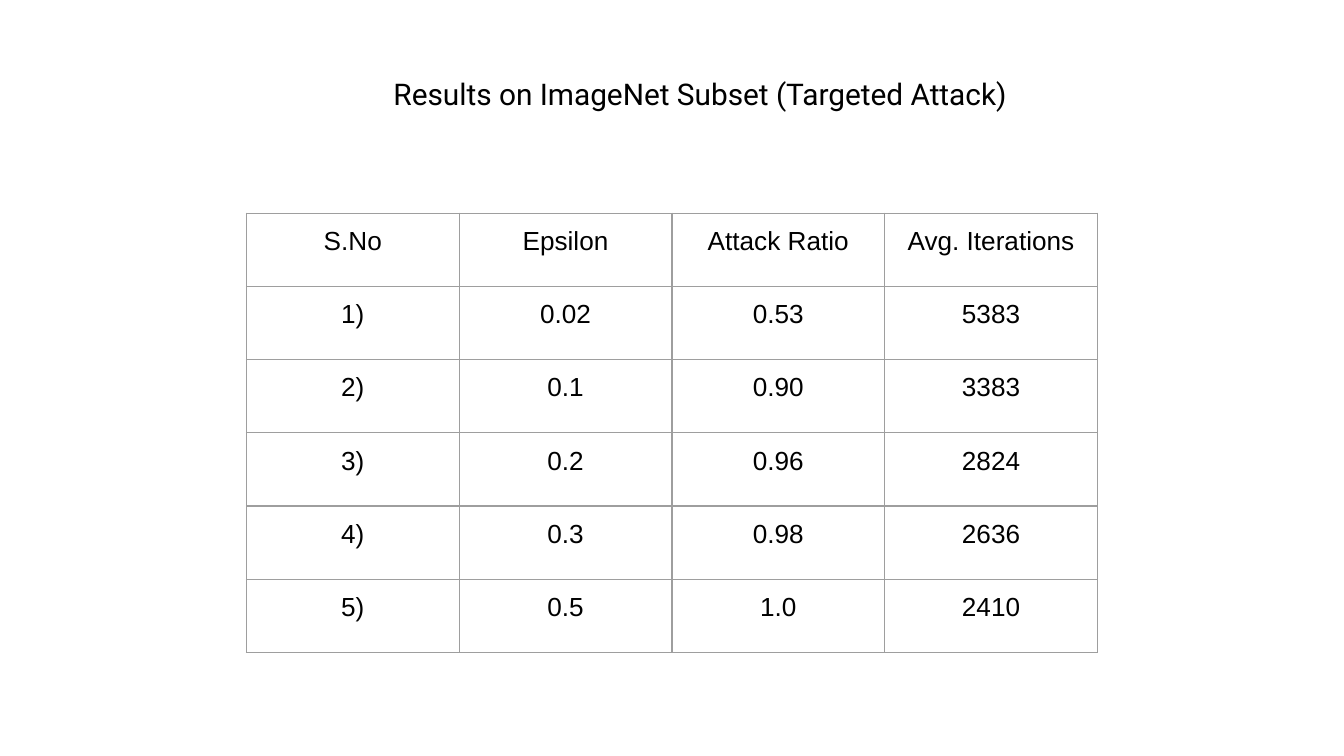
"""Build a slide with a table of targeted attack results."""
from dataclasses import dataclass

from lxml.etree import SubElement
from pptx import Presentation
from pptx.dml.color import RGBColor
from pptx.enum.text import MSO_ANCHOR as Anchor, MSO_AUTO_SIZE as AutoSize, PP_ALIGN as Align
from pptx.oxml.ns import qn
from pptx.util import Pt

COLORS = {"text": "000000", "border": "9E9E9E", "background": "FFFFFF"}
INSET = Pt(7.2)
BORDER_WIDTH = Pt(0.75)
TITLE = "Results on ImageNet Subset (Targeted Attack)"
HEADERS = ("S.No", "Epsilon", "Attack Ratio", "Avg. Iterations")


@dataclass(frozen=True)
class Result:
    """One row of attack results."""
    number: str
    epsilon: str
    ratio: str
    iterations: str

    def values(self) -> tuple:
        """Return the row in column order."""
        return self.number, self.epsilon, self.ratio, self.iterations


RESULTS = (
    Result("1)", "0.02", "0.53", "5383"),
    Result("2)", "0.1", "0.90", "3383"),
    Result("3)", "0.2", "0.96", "2824"),
    Result("4)", "0.3", "0.98", "2636"),
    Result("5)", "0.5", "1.0", "2410"),
)


def write_text(frame, text: str, font_name: str, size: float) -> None:
    """Write one centred line of text."""
    frame.text = text
    para = frame.paragraphs[0]
    para.alignment = Align.CENTER
    font = para.runs[0].font
    font.name, font.size, font.bold = font_name, Pt(size), False
    font.color.rgb = RGBColor.from_string(COLORS["text"])


def set_insets(owner) -> None:
    """Give a text frame or a cell equal insets."""
    owner.margin_left = owner.margin_right = INSET
    owner.margin_top = owner.margin_bottom = INSET


def add_borders(cell) -> None:
    """Draw a thin line on each side of a cell."""
    properties = cell._tc.get_or_add_tcPr()
    for side in ("lnL", "lnR", "lnT", "lnB"):
        line = SubElement(properties, qn(f"a:{side}"), w=str(BORDER_WIDTH))
        fill = SubElement(line, qn("a:solidFill"))
        SubElement(fill, qn("a:srgbClr"), val=COLORS["border"])


def fill_title(title) -> None:
    """Place and format the slide title."""
    title.left, title.top = Pt(144), Pt(33.1)
    title.width, title.height = Pt(462.2), Pt(33.8)
    frame = title.text_frame
    set_insets(frame)
    frame.word_wrap = True
    frame.auto_size = AutoSize.SHAPE_TO_FIT_TEXT
    frame.vertical_anchor = Anchor.TOP
    write_text(frame, TITLE, "Roboto", 16)


def add_results(slide, results: tuple) -> None:
    """Add the results table with its header row."""
    rows = [HEADERS, *(result.values() for result in results)]
    table = slide.shapes.add_table(
        len(rows), len(HEADERS), Pt(132), Pt(114.2),
        Pt(114) * len(HEADERS), Pt(39.25) * len(rows),
    ).table
    table.first_row = table.horz_banding = False
    for row, values in zip(table.rows, rows):
        for cell, value in zip(row.cells, values):
            set_insets(cell)
            cell.vertical_anchor = Anchor.TOP
            write_text(cell.text_frame, value, "Arial", 14)
            add_borders(cell)
            cell.fill.background()


def main() -> None:
    """Build and save the deck."""
    deck = Presentation()
    deck.slide_width, deck.slide_height = Pt(720), Pt(405)
    slide = deck.slides.add_slide(deck.slide_layouts[5])
    slide.background.fill.solid()
    slide.background.fill.fore_color.rgb = RGBColor.from_string(COLORS["background"])
    fill_title(slide.shapes.title)
    add_results(slide, RESULTS)
    deck.save("out.pptx")


if __name__ == "__main__":
    main()
